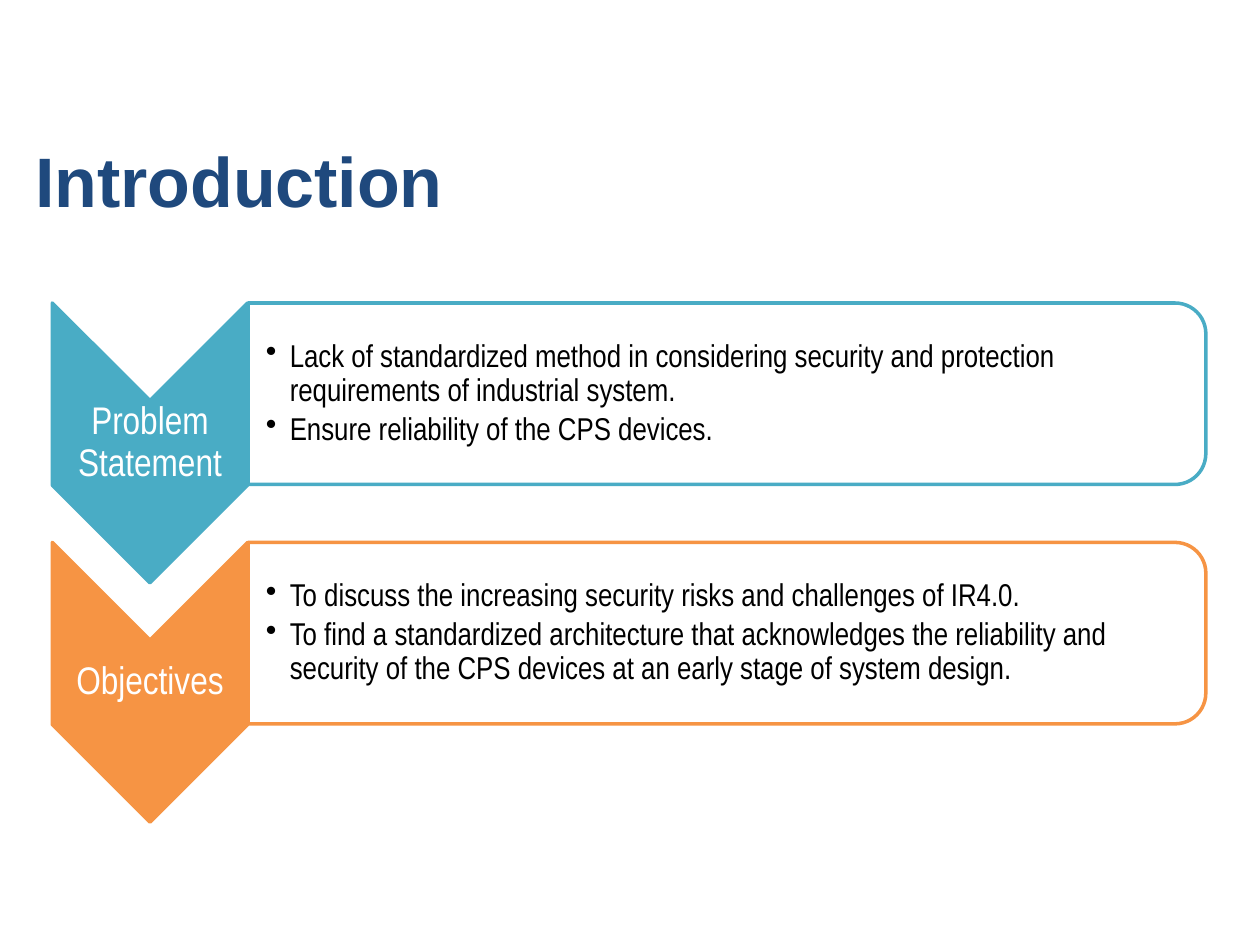
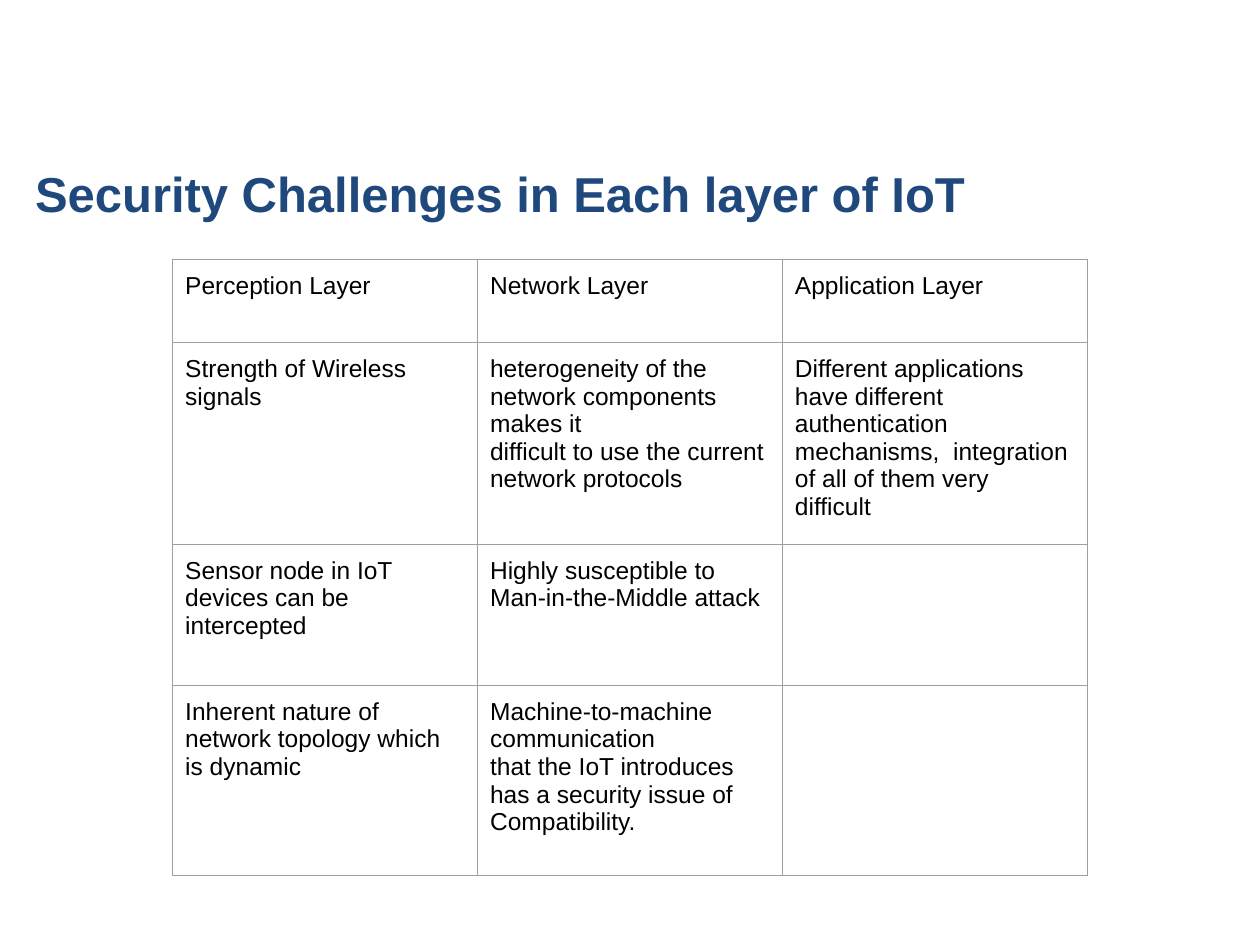
from lxml import etree
from pptx import Presentation
from pptx.dml.color import RGBColor
from pptx.enum.shapes import MSO_SHAPE
from pptx.enum.text import MSO_ANCHOR, PP_ALIGN
from pptx.oxml.ns import qn
from pptx.util import Emu, Inches, Pt

CHEVRON = MSO_SHAPE.CHEVRON
PANEL = MSO_SHAPE.ROUND_2_SAME_RECTANGLE
LEFT, CENTER = PP_ALIGN.LEFT, PP_ALIGN.CENTER
TOP, MIDDLE, BOTTOM = MSO_ANCHOR.TOP, MSO_ANCHOR.MIDDLE, MSO_ANCHOR.BOTTOM

COLORS = {"title": "1F497D", "teal": "49ACC5", "orange": "F69444",
          "text": "000000", "paper": "FFFFFF", "grid": "9E9E9E"}
HEAD_FONT, NARROW_FONT = "Arial", "Arial Narrow"

# Lengths are percentages of the slide's width and height
SLIDE_W, SLIDE_H = Inches(10), Inches(7.5)
TITLE_BOX = (1.8, 13.73, 91.5, 10.4)
BAND_TOP, BAND_PITCH = 32.07, 25.33
ARROW_X, ARROW_W, ARROW_H = 4.15, 15.5, 29.6
NOTCH, LABEL_H = 10.33, 8.93
PANEL_X, PANEL_W, PANEL_H = 19.7, 76, 19.2
BODY_W, BODY_H = 75.3, 17.33
TABLE_X, TABLE_Y, COL_W = 13.7, 27.47, 24.2
ROW_HEIGHTS = (8.8, 20.13, 14.93, 20.13)

BANDS = [
    ("Problem Statement", "teal",
     ["Lack of standardized method in considering security and protection "
      "requirements of industrial system.",
      "Ensure reliability of the CPS devices."]),
    ("Objectives", "orange",
     ["To discuss the increasing security risks and challenges of IR4.0.",
      "To find a standardized architecture that acknowledges the reliability "
      "and security of the CPS devices at an early stage of system design."]),
]

# Each cell is a list of paragraphs
LAYER_ROWS = [
    [["Perception Layer"], ["Network Layer"], ["Application Layer"]],
    [["Strength of Wireless signals"],
     ["heterogeneity of the network components makes it",
      "difficult to use the current network protocols"],
     ["Different applications have different authentication",
      "mechanisms,  integration of all of them very",
      "difficult"]],
    [["Sensor node in IoT devices can be intercepted"],
     ["Highly susceptible to", "Man-in-the-Middle attack"], []],
    [["Inherent nature of", "network topology which is dynamic"],
     ["Machine-to-machine communication",
      "that the IoT introduces has a security issue of Compatibility."], []],
]


def rgb(name):
    return RGBColor.from_string(COLORS[name])


def across(share):
    return Emu(round(SLIDE_W * share / 100))


def down(share):
    return Emu(round(SLIDE_H * share / 100))


def frame(x, y, w, h):
    return across(x), down(y), across(w), down(h)


def add_bullet(p):
    pPr = p._p.get_or_add_pPr()
    indent = Inches(0.19)
    pPr.set("marL", str(indent))
    pPr.set("indent", str(-indent))
    color = etree.SubElement(pPr, qn("a:buClr"))
    etree.SubElement(color, qn("a:srgbClr"), val=COLORS["text"])
    etree.SubElement(pPr, qn("a:buChar"), char="•")


def write(tf, paragraphs, size=14, font=HEAD_FONT, color="text", bold=False,
          align=LEFT, spacing=None, gap=0, bullets=False):
    for i, text in enumerate(paragraphs):
        p = tf.paragraphs[0] if i == 0 else tf.add_paragraph()
        p.alignment = align
        if spacing:
            p.line_spacing = spacing
        if i and gap:
            p.space_before = Pt(gap)
        if bullets:
            p.level = 1
            add_bullet(p)
        r = p.add_run()
        r.text = text
        r.font.size, r.font.name, r.font.bold = Pt(size), font, bold
        r.font.color.rgb = rgb(color)


def add_text(s, box, paragraphs, anchor=MIDDLE, insets=(0.1, 0.05, 0.1, 0.05),
             **style):
    tf = s.shapes.add_textbox(*frame(*box)).text_frame
    tf.word_wrap = True
    tf.vertical_anchor = anchor
    (tf.margin_left, tf.margin_top,
     tf.margin_right, tf.margin_bottom) = map(Inches, insets)
    write(tf, paragraphs, **style)


def add_title(s, text, size):
    add_text(s, TITLE_BOX, [text], anchor=BOTTOM, size=size,
             color="title", bold=True)


def add_turned_shape(s, kind, box, adjustments, fill, line):
    """Draw a shape turned a quarter clockwise so that it fills the box."""
    x, y, w, h = frame(*box)
    shift = (w - h) // 2
    sp = s.shapes.add_shape(kind, x + shift, y - shift, h, w)
    sp.rotation = 90
    sp.shadow.inherit = False
    for i, value in enumerate(adjustments):
        sp.adjustments[i] = value
    sp.fill.solid()
    sp.fill.fore_color.rgb = rgb(fill)
    sp.line.color.rgb = rgb(line)
    sp.line.width = Pt(2)


def add_band(s, top, label, color, points):
    add_turned_shape(s, CHEVRON, (ARROW_X, top, ARROW_W, ARROW_H),
                     [0.5], color, color)
    add_text(s, (ARROW_X, top + NOTCH, ARROW_W, LABEL_H), [label],
             insets=(0.02,) * 4, size=22, font=NARROW_FONT, color="paper",
             align=CENTER, spacing=0.9)
    add_turned_shape(s, PANEL, (PANEL_X, top, PANEL_W, PANEL_H),
                     [0.17, 0], "paper", color)
    body_top = top + (PANEL_H - BODY_H) / 2
    add_text(s, (PANEL_X, body_top, BODY_W, BODY_H), points,
             insets=(0.14, 0.01, 0.01, 0.01), size=18, font=NARROW_FONT,
             spacing=0.9, gap=2.7, bullets=True)


def add_borders(cell):
    tcPr = cell._tc.get_or_add_tcPr()
    for i, side in enumerate(("lnL", "lnR", "lnT", "lnB")):
        ln = etree.Element(qn(f"a:{side}"), w=str(Pt(0.75)))
        fill = etree.SubElement(ln, qn("a:solidFill"))
        etree.SubElement(fill, qn("a:srgbClr"), val=COLORS["grid"])
        tcPr.insert(i, ln)


def add_layer_table(s, rows):
    columns = len(rows[0])
    box = (TABLE_X, TABLE_Y, COL_W * columns, sum(ROW_HEIGHTS))
    table = s.shapes.add_table(len(rows), columns, *frame(*box)).table
    table.first_row = table.horz_banding = False
    for column in table.columns:
        column.width = across(COL_W)
    for i, row in enumerate(rows):
        table.rows[i].height = down(ROW_HEIGHTS[i])
        for j, paragraphs in enumerate(row):
            cell = table.cell(i, j)
            cell.fill.background()
            cell.vertical_anchor = TOP
            cell.margin_left = cell.margin_right = Inches(0.1)
            cell.margin_top = cell.margin_bottom = Inches(0.1)
            add_borders(cell)
            write(cell.text_frame, paragraphs)


def main():
    prs = Presentation()
    prs.slide_width, prs.slide_height = SLIDE_W, SLIDE_H
    blank = prs.slide_layouts[6]

    # Introduction
    s = prs.slides.add_slide(blank)
    for i, (label, color, points) in enumerate(BANDS):
        add_band(s, BAND_TOP + i * BAND_PITCH, label, color, points)
    add_title(s, "Introduction", 40)

    # Security challenges
    s = prs.slides.add_slide(blank)
    add_title(s, "Security Challenges in Each layer of IoT", 28)
    add_layer_table(s, LAYER_ROWS)

    prs.save("out.pptx")


if __name__ == "__main__":
    main()
